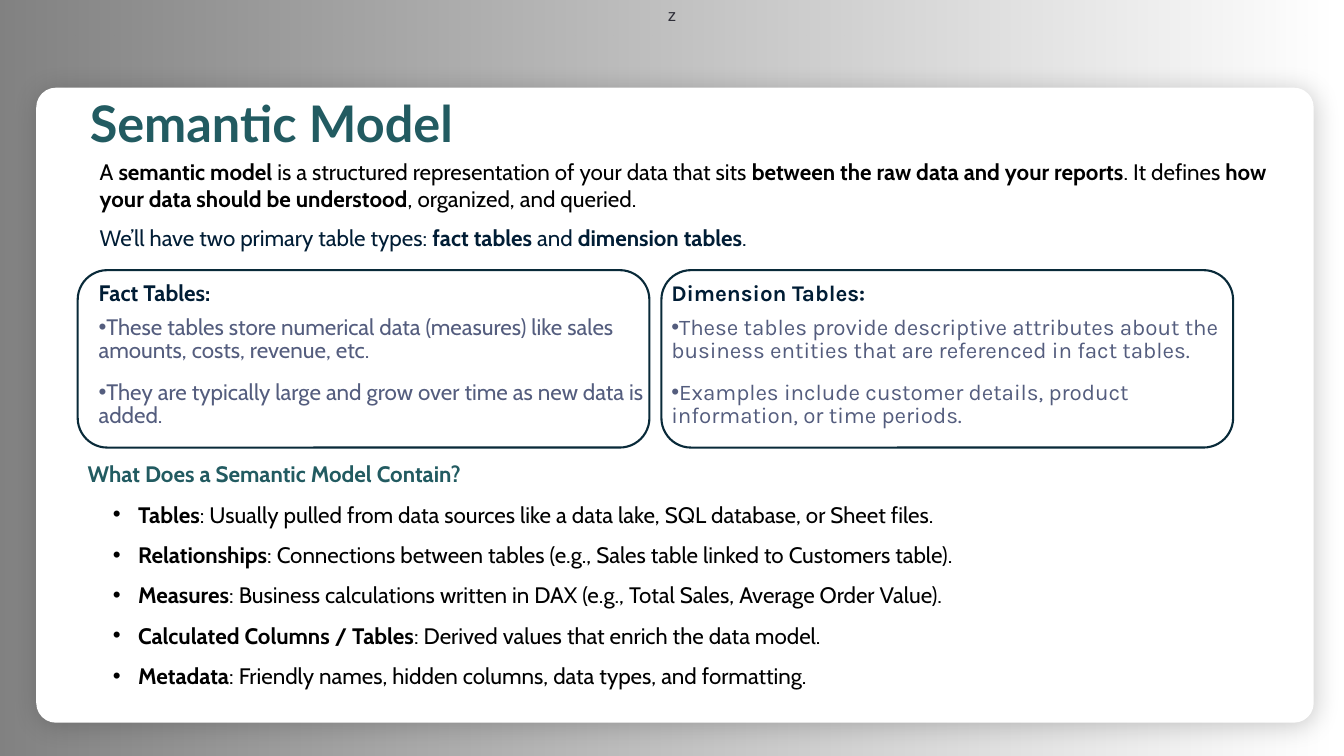
from dataclasses import dataclass

from lxml.etree import SubElement
from pptx import Presentation
from pptx.dml.color import RGBColor
from pptx.enum.shapes import MSO_SHAPE as Shape
from pptx.enum.text import MSO_ANCHOR as Anchor, MSO_AUTO_SIZE as AutoSize, PP_ALIGN as Align
from pptx.oxml.ns import qn
from pptx.util import Inches, Pt

SLIDE_W, SLIDE_H = Inches(13.33), Inches(7.5)


@dataclass(frozen=True)
class Theme:
    teal: str = "225B61"
    ink: str = "000000"
    navy: str = "001D35"
    slate: str = "545D7E"
    outline: str = "092A39"
    charcoal: str = "2E2E38"
    paper: str = "FFFFFF"
    heading: str = "Lato"
    body: str = "Cabin"
    alternate: str = "Karla"
    plain: str = "Arial"
    title_size: int = 36
    body_size: int = 16
    small_size: int = 12


THEME = Theme()
PANEL_LEFT, PANEL_PITCH, PANEL_WIDTH = 5.78, 43.43, 42.54
TIGHT = {"line_spacing": Pt(16.5)}
SPACED = {**TIGHT, "space_before": Pt(7.5), "space_after": Pt(6)}
LIST_ITEM = {"level": 1, "line_spacing": 1.5}

INTRO = (
    "A **semantic model** is a structured representation of your data that sits "
    "**between the raw data and your reports**. It defines "
    "**how your data should be understood**, organized, and queried."
)
TABLE_KINDS = "We’ll have two primary table types: **fact tables **and **dimension tables**. "
PANELS = [
    ("Fact Tables:", THEME.body, 6.6, [
        "These tables store numerical data (measures) like sales amounts, costs, revenue, etc.",
        "They are typically large and grow over time as new data is added.",
    ]),
    ("Dimension Tables:", THEME.alternate, 49.21, [
        "These tables provide descriptive attributes about the business entities "
        "that are referenced in fact tables.",
        "Examples include customer details, product information, or time periods.",
    ]),
]
CONTENTS = [
    "**Tables**: Usually pulled from data sources like a data lake, SQL database, or Sheet files.",
    "**Relationships**: Connections between tables (e.g., Sales table linked to Customers table).",
    "**Measures**: Business calculations written in DAX (e.g., Total Sales, Average Order Value).",
    "**Calculated Columns / Tables**: Derived values that enrich the data model.",
    "**Metadata**: Friendly names, hidden columns, data types, and formatting.",
]


def area(left, top, width, height):
    """Turn percentages of the slide's size into lengths."""
    return [round(share * side / 100) for share, side in
            zip((left, top, width, height), (SLIDE_W, SLIDE_H) * 2)]


def apply(target, formats):
    for name, value in formats.items():
        setattr(target, name, value)


def add_bullet(paragraph, margin, hanging):
    props = paragraph._p.get_or_add_pPr()
    props.set("marL", str(Inches(margin)))
    props.set("indent", str(-Inches(hanging)))
    SubElement(props, qn("a:buFont"), typeface=THEME.plain)
    SubElement(props, qn("a:buChar"), char="•")


def write(paragraph, marked_text, color, font=THEME.body, size=THEME.body_size, **formats):
    """Fill a paragraph; text between double asterisks is bold."""
    apply(paragraph, formats)
    for index, part in enumerate(marked_text.split("**")):
        if part:
            run = paragraph.add_run()
            run.text = part
            apply(run.font, {"name": font, "size": Pt(size), "bold": index % 2 == 1})
            run.font.color.rgb = RGBColor.from_string(color)


def add_text(slide, place, **formats):
    """Add a text box and return its frame."""
    frame = slide.shapes.add_textbox(*area(*place)).text_frame
    apply(frame, {"word_wrap": True, "auto_size": AutoSize.SHAPE_TO_FIT_TEXT, **formats})
    return frame


def add_box(slide, preset, place, fill=None, line=None, corner=None):
    box = slide.shapes.add_shape(preset, *area(*place))
    box.shadow.inherit = False
    if corner is not None:
        box.adjustments[0] = corner
    if fill:
        box.fill.solid()
        box.fill.fore_color.rgb = RGBColor.from_string(fill)
    else:
        box.fill.background()
    if line:
        box.line.color.rgb = RGBColor.from_string(line)
        box.line.width = Pt(1.5)
    else:
        box.line.fill.background()
    return box


def add_backdrop(slide):
    backdrop = add_box(slide, Shape.RECTANGLE, (0, 0, 100, 100))
    backdrop.fill.gradient()
    backdrop.fill.gradient_angle = 180
    for stop, position, alpha in zip(backdrop.fill.gradient_stops, (0, 1), (0, 50)):
        stop.position = position
        stop.color.rgb = RGBColor.from_string(THEME.ink)
        color = stop.color._xFill.find(qn("a:srgbClr")) if hasattr(stop.color, "_xFill") else None
        SubElement(color, qn("a:alpha"), val=str(alpha * 1000))
    backdrop.text_frame.vertical_anchor = Anchor.TOP
    write(backdrop.text_frame.paragraphs[0], "z", THEME.charcoal, THEME.plain,
          THEME.small_size, alignment=Align.CENTER)


def add_card(slide):
    card = add_box(slide, Shape.ROUNDED_RECTANGLE, (2.7, 11.6, 95.05, 84),
                   fill=THEME.paper, corner=0.031)
    effects = card._element.spPr.find(qn("a:effectLst"))
    shadow = SubElement(effects, qn("a:outerShdw"), blurRad=str(Pt(18)), dist=str(Pt(3)),
                        dir=str(45 * 60000), algn="tl", rotWithShape="0")
    color = SubElement(shadow, qn("a:srgbClr"), val=THEME.ink)
    SubElement(color, qn("a:alpha"), val="20000")


def add_panel_text(slide, heading, font, left, points):
    frame = add_text(slide, (left, 36.8, 43.36, 21.33))
    write(frame.paragraphs[0], f"**{heading}**", THEME.navy, font, **TIGHT)
    for point in points:
        paragraph = frame.add_paragraph()
        add_bullet(paragraph, 0, 0)
        write(paragraph, point, THEME.slate, font, **SPACED)


def add_contents(slide):
    frame = add_text(slide, (5.78, 60.27, 88.82, 31.33))
    write(frame.paragraphs[0], "**What Does a Semantic Model Contain?**", THEME.teal)
    for item in CONTENTS:
        paragraph = frame.add_paragraph()
        add_bullet(paragraph, 0.5, 0.25)
        write(paragraph, item, THEME.ink, **LIST_ITEM)


def main():
    deck = Presentation()
    apply(deck, {"slide_width": SLIDE_W, "slide_height": SLIDE_H})
    slide = deck.slides.add_slide(deck.slide_layouts[6])
    add_backdrop(slide)
    add_card(slide)

    no_margins = {f"margin_{side}": 0 for side in ("left", "top", "right", "bottom")}
    title = add_text(slide, (6.68, 12.13, 28.88, 8.13), **no_margins, word_wrap=False)
    write(title.paragraphs[0], "**Semantic Model**", THEME.teal, THEME.heading, THEME.title_size)
    intro = add_text(slide, (6.68, 20.27, 88.82, 8.53))
    write(intro.paragraphs[0], INTRO, THEME.ink)
    kinds = add_text(slide, (6.68, 28.93, 88.82, 4.93))
    write(kinds.paragraphs[0], TABLE_KINDS, THEME.navy)

    for panel in PANELS:
        add_panel_text(slide, *panel)
    for column in range(len(PANELS)):
        add_box(slide, Shape.ROUNDED_RECTANGLE,
                (PANEL_LEFT + column * PANEL_PITCH, 35.73, PANEL_WIDTH, 23.47),
                line=THEME.outline)
    add_contents(slide)
    deck.save("out.pptx")


if __name__ == "__main__":
    main()
